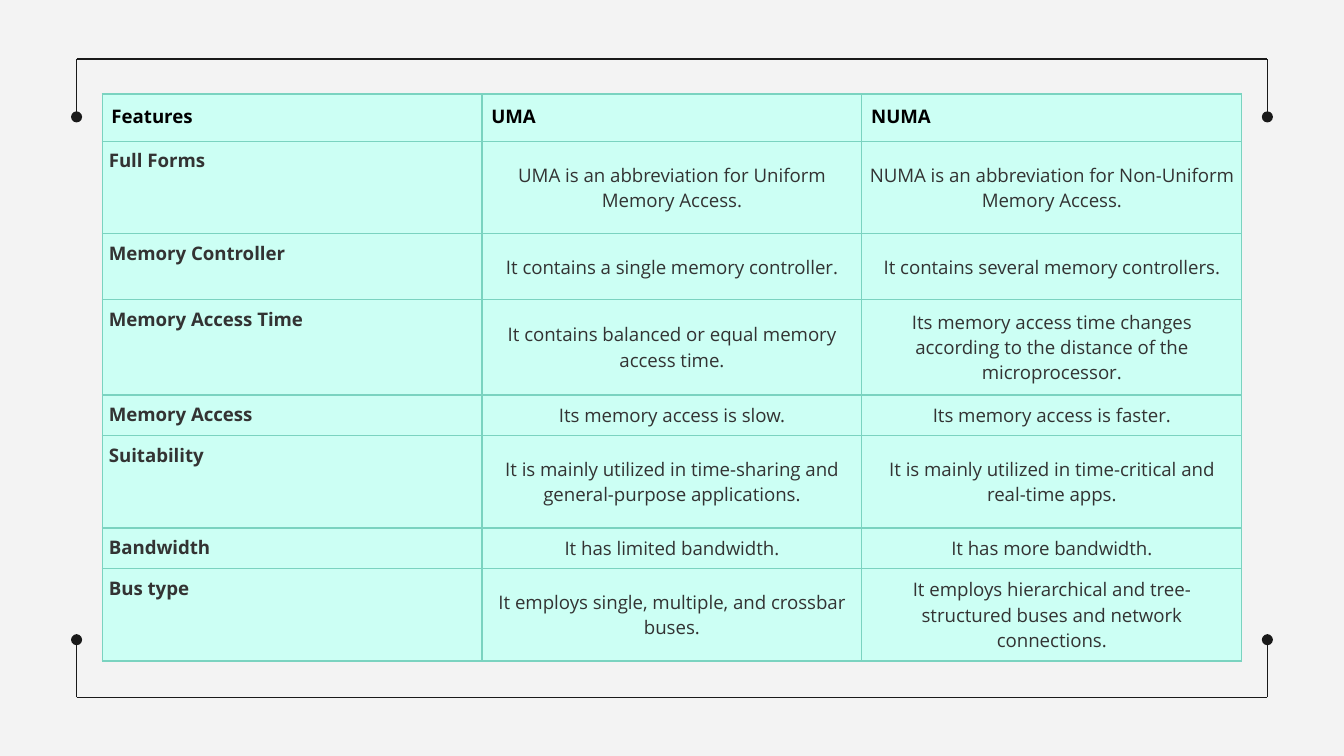
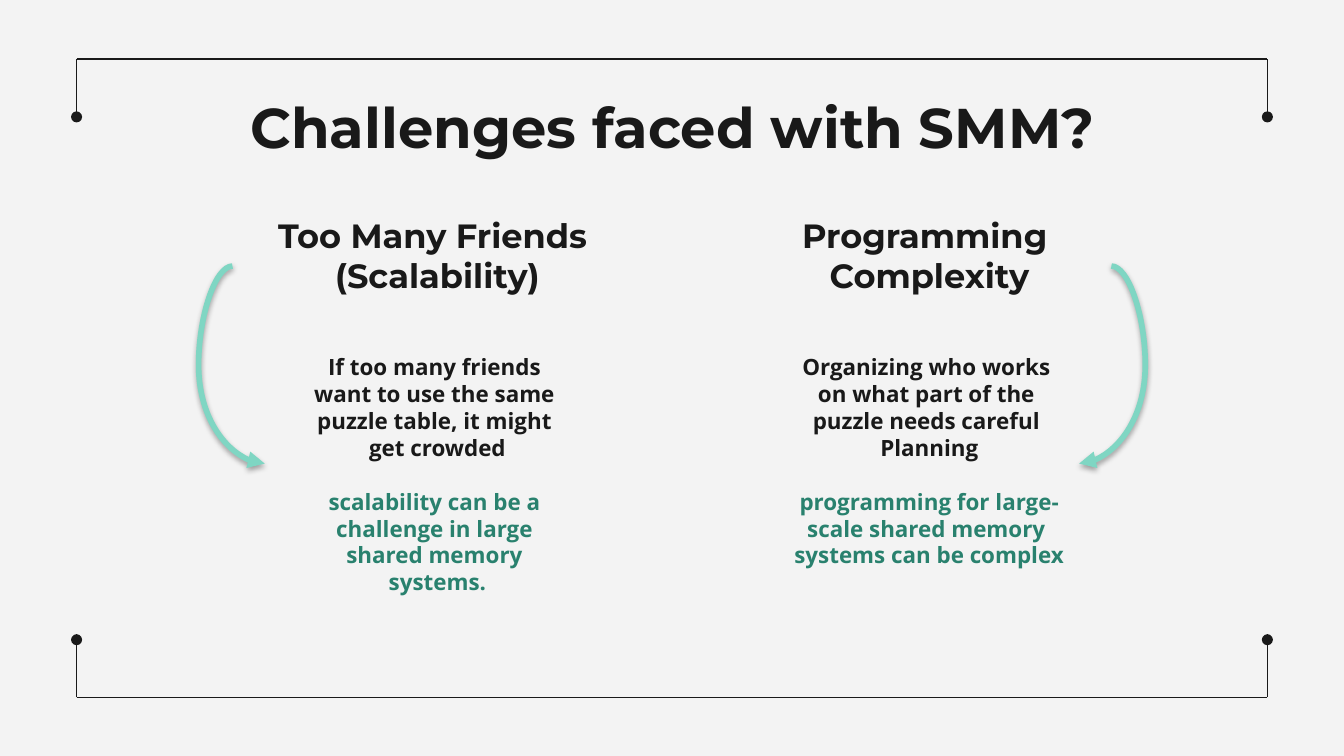
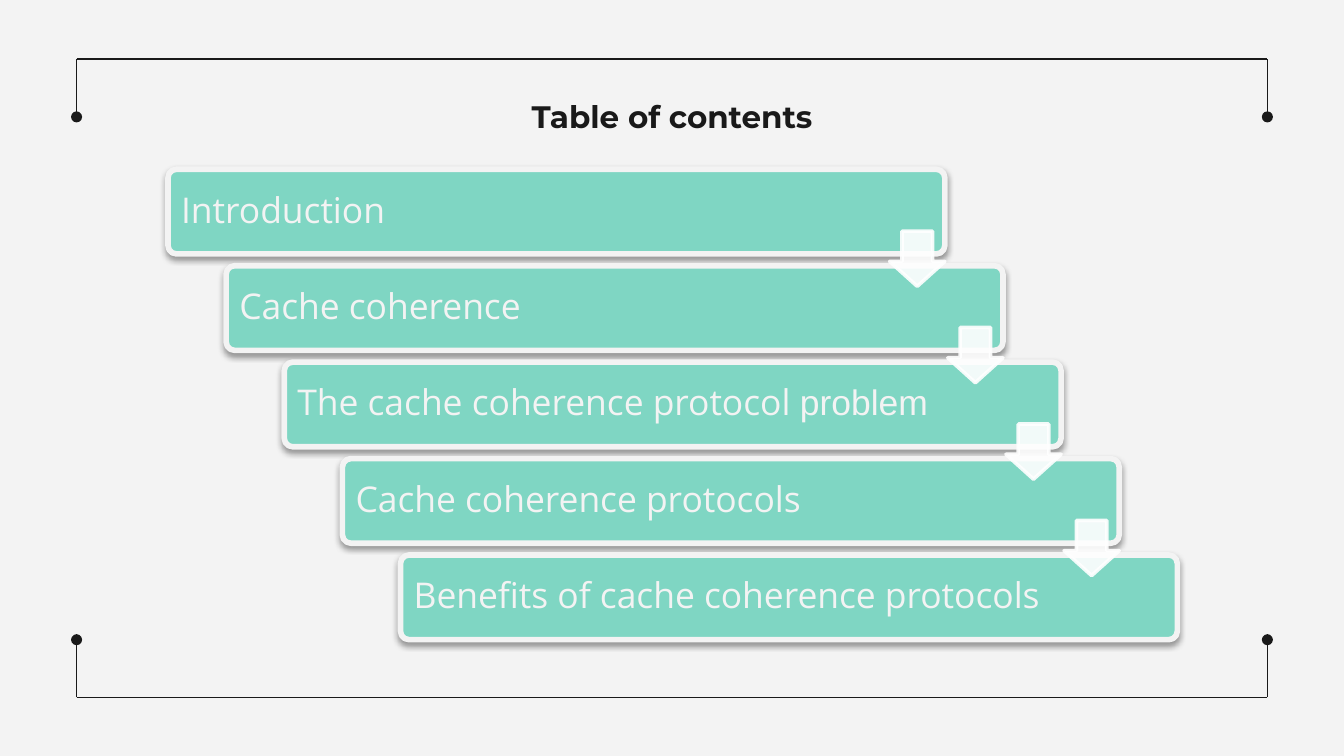
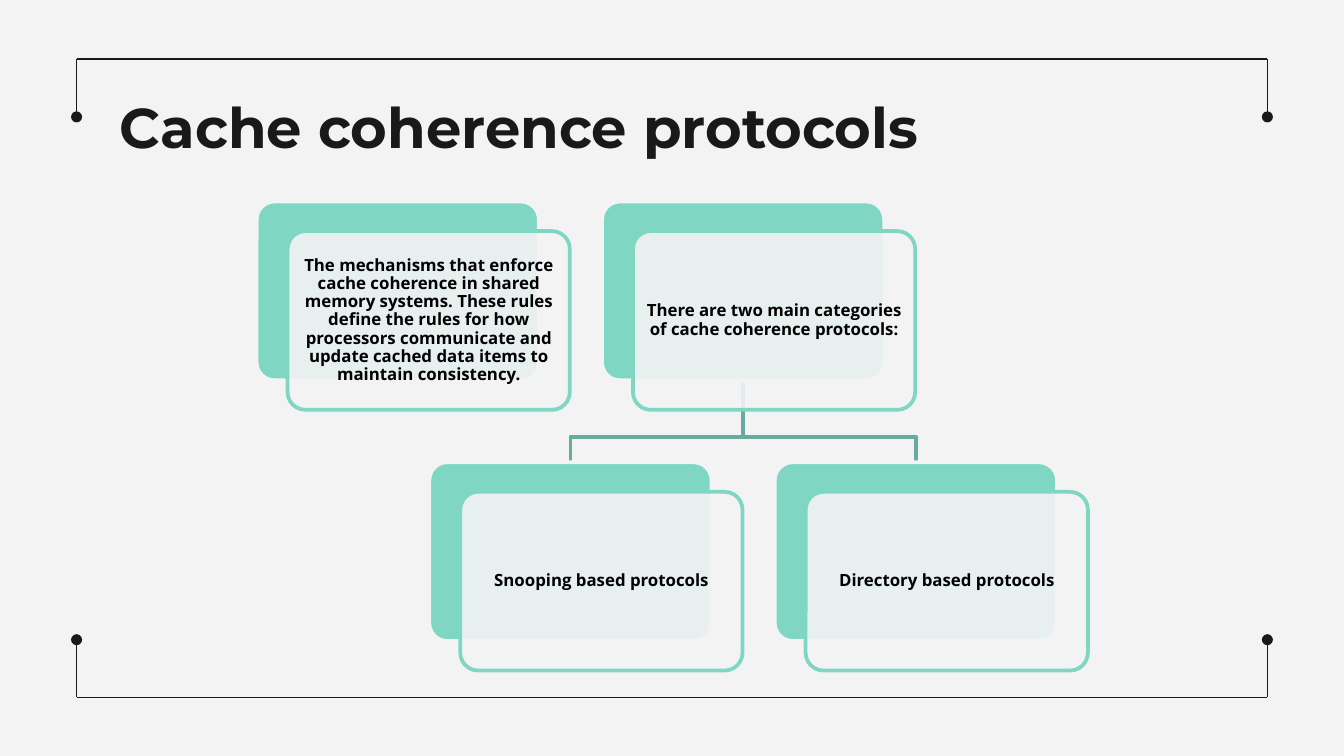
from collections import namedtuple

from lxml import etree
from pptx import Presentation
from pptx.dml.color import RGBColor
from pptx.enum.shapes import MSO_CONNECTOR, MSO_SHAPE
from pptx.enum.text import MSO_ANCHOR, MSO_AUTO_SIZE, PP_ALIGN
from pptx.oxml.ns import qn
from pptx.util import Inches, Pt

LEFT, CENTER, JUSTIFY = PP_ALIGN.LEFT, PP_ALIGN.CENTER, PP_ALIGN.JUSTIFY
TOP, MIDDLE, BOTTOM = MSO_ANCHOR.TOP, MSO_ANCHOR.MIDDLE, MSO_ANCHOR.BOTTOM
STRAIGHT, CURVE = MSO_CONNECTOR.STRAIGHT, MSO_CONNECTOR.CURVE
ROUNDED, DOWN_ARROW = MSO_SHAPE.ROUNDED_RECTANGLE, MSO_SHAPE.DOWN_ARROW
TITLE_ONLY_LAYOUT, BLANK_LAYOUT = 5, 6
SLIDE_WIDTH = 10
SLIDE_HEIGHT = SLIDE_WIDTH * 9 / 16

Box = namedtuple("Box", "left top width height")


class Theme:
    # Colours
    background = "F3F3F3"
    ink = "191919"
    mint = "7FD6C3"
    pale_mint = "CCFFF4"
    table_border = "7AD3C0"
    tree_line = "66AB9C"
    green = "29816E"
    body = "333333"
    black = "000000"
    white = "FFFFFF"
    # Fonts and sizes
    heading_font = "Montserrat"
    body_font = "Open Sans"
    accent_font = "Arial"
    title_size = 30
    small_title_size = 16.6
    heading_size = 18
    bar_size = 19
    text_size = 12
    table_size = 10
    card_size = 9


TITLE_BOX = Box(0.79, 0.59, 8.43, 0.63)

TABLE_ROWS = [
    (0.35, "Features", "UMA", "NUMA"),
    (0.69, "Full Forms", "UMA is an abbreviation for Uniform Memory Access.",
     "NUMA is an abbreviation for Non-Uniform Memory Access."),
    (0.49, "Memory Controller", "It contains a single memory controller.",
     "It contains several memory controllers."),
    (0.71, "Memory Access Time", "It contains balanced or equal memory access time.",
     "Its memory access time changes according to the distance of the microprocessor."),
    (0.3, "Memory Access", "Its memory access is slow.", "Its memory access is faster."),
    (0.69, "Suitability",
     "It is mainly utilized in time-sharing and general-purpose applications.",
     "It is mainly utilized in time-critical and real-time apps."),
    (0.3, "Bandwidth", "It has limited bandwidth.", "It has more bandwidth."),
    (0.69, "Bus type", "It employs single, multiple, and crossbar buses.",
     "It employs hierarchical and tree-structured buses and network connections."),
]

# Heading lines, explanation lines, conclusion lines
SCALABILITY = (
    ["Too Many Friends ", "(Scalability)"],
    ["If too many friends ", "want to use the same ", "puzzle table, it might ",
     "get crowded"],
    ["scalability can be a ", "challenge in large ", "shared memory ", "systems."],
)
COMPLEXITY = (
    ["Programming ", "Complexity"],
    ["Organizing who works ", "on what part of the ", "puzzle needs careful ", "Planning"],
    ["programming for large-", "scale shared memory ", "systems can be complex"],
)

# Label and, where there is one, its ending in the accent font
CONTENTS = [
    ("Introduction", ""),
    ("Cache coherence", ""),
    ("The cache coherence protocol ", "problem"),
    ("Cache coherence protocols", ""),
    ("Benefits of cache coherence protocols", ""),
]

DEFINITION = ("The mechanisms that enforce cache coherence in shared memory systems. "
              "These rules define the rules for how processors communicate and update "
              "cached data items to maintain consistency.")
CATEGORIES = "There are two main categories of cache coherence protocols:"
CATEGORY_NAMES = ["Snooping based protocols", "Directory based protocols"]


# Shared helpers
def rgb(color):
    return RGBColor.from_string(color)


def inches(*lengths):
    return [Inches(length) for length in lengths]


def set_effects(shape, shadow_alpha=None):
    """Replace the theme shadow by none, or by a soft one below the shape."""
    effects = etree.SubElement(shape.element.spPr, qn("a:effectLst"))
    if shadow_alpha:
        shadow = etree.SubElement(effects, qn("a:outerShdw"), blurRad=str(Pt(3.1)),
                                  dist=str(Pt(1.7)), dir="5400000", rotWithShape="0")
        color = etree.SubElement(shadow, qn("a:srgbClr"), val=Theme.black)
        etree.SubElement(color, qn("a:alpha"), val=str(shadow_alpha * 1000))


def set_alpha(fill, percent):
    color = fill._xPr.find(qn("a:solidFill"))[0]
    etree.SubElement(color, qn("a:alpha"), val=str(percent * 1000))


def set_line(shape, color, width):
    shape.line.color.rgb = rgb(color)
    shape.line.width = Pt(width)


def add_line(slide, kind, start, end, color, width, arrowhead=None, shadow_alpha=None):
    line = slide.shapes.add_connector(kind, *inches(*start, *end))
    set_line(line, color, width)
    if arrowhead:
        etree.SubElement(line.line._get_or_add_ln(), qn("a:tailEnd"), type=arrowhead)
    set_effects(line, shadow_alpha)
    return line


def add_filled_shape(slide, kind, box, adjustments, fill, line, line_width,
                     alpha=None, shadow_alpha=None):
    shape = slide.shapes.add_shape(kind, *inches(*box))
    for index, value in enumerate(adjustments):
        shape.adjustments[index] = value
    shape.fill.solid()
    shape.fill.fore_color.rgb = rgb(fill)
    if alpha:
        set_alpha(shape.fill, alpha)
    set_line(shape, line, line_width)
    set_effects(shape, shadow_alpha)
    return shape


def set_frame(text_frame, anchor, inset):
    text_frame.word_wrap = True
    text_frame.auto_size = MSO_AUTO_SIZE.NONE
    text_frame.vertical_anchor = anchor
    text_frame.margin_left = text_frame.margin_right = Inches(inset)
    text_frame.margin_top = text_frame.margin_bottom = Inches(inset)


def format_paragraph(paragraph, size, color, font=Theme.body_font, bold=False,
                     align=LEFT, spacing=None):
    paragraph.alignment = align
    if spacing:
        paragraph.line_spacing = spacing
    for run in paragraph.runs:
        run.font.name = font
        run.font.size = Pt(size)
        run.font.bold = bold
        run.font.color.rgb = rgb(color)


def add_title(slide, box, text, size=Theme.title_size, align=CENTER, anchor=TOP,
              spacing=None):
    title = slide.shapes.title
    title.left, title.top, title.width, title.height = inches(*box)
    title.text_frame.text = text
    set_frame(title.text_frame, anchor, 0.1)
    format_paragraph(title.text_frame.paragraphs[0], size, Theme.ink,
                     Theme.heading_font, True, align, spacing)


def add_indented_lines(slide, box, lines, anchor):
    """Add a text box with one hanging-indent paragraph per line."""
    text_frame = slide.shapes.add_textbox(*inches(*box)).text_frame
    text_frame.text = "\n".join(lines)
    set_frame(text_frame, anchor, 0.1)
    for paragraph in text_frame.paragraphs:
        properties = paragraph._p.get_or_add_pPr()
        properties.set("marL", str(Inches(0.5)))
        properties.set("indent", str(Inches(-0.33)))
    return text_frame.paragraphs


# Master: background and frame of brackets
def add_frame(master, slide, box):
    """Draw the brackets on a slide and move them to the master."""
    right, bottom = box.left + box.width, box.top + box.height
    arm = 0.43
    lines = []
    for edge, direction in ((box.top, 1), (bottom, -1)):
        lines.append(add_line(slide, STRAIGHT, (box.left, edge), (right, edge),
                              Theme.ink, 0.75))
        for side in (box.left, right):
            lines.append(add_line(slide, STRAIGHT, (side, edge),
                                  (side, edge + direction * arm), Theme.ink, 0.75, "oval"))
    for number, line in enumerate(lines, start=101):
        line.element.nvCxnSpPr.cNvPr.set("id", str(number))
        master.shapes.element.append(line.element)


# Comparison table
def add_cell_borders(cell):
    properties = cell._tc.get_or_add_tcPr()
    for side in ("lnL", "lnR", "lnT", "lnB"):
        border = etree.SubElement(properties, qn("a:" + side), w=str(Pt(0.75)))
        fill = etree.SubElement(border, qn("a:solidFill"))
        etree.SubElement(fill, qn("a:srgbClr"), val=Theme.table_border)


def add_comparison_table(slide, box):
    column_count = 3
    table = slide.shapes.add_table(len(TABLE_ROWS), column_count, *inches(*box)).table
    table.first_row = table.horz_banding = False
    for column in table.columns:
        column.width = Inches(box.width / column_count)
    for row_index, (height, *texts) in enumerate(TABLE_ROWS):
        table.rows[row_index].height = Inches(height)
        is_header = row_index == 0
        for column_index, text in enumerate(texts):
            is_feature = column_index == 0
            cell = table.cell(row_index, column_index)
            cell.text_frame.text = text
            inset = Inches(0.07 if is_header else 0.05)
            cell.margin_left = cell.margin_right = inset
            cell.margin_top = cell.margin_bottom = inset
            cell.vertical_anchor = TOP if is_header or is_feature else MIDDLE
            add_cell_borders(cell)
            cell.fill.solid()
            cell.fill.fore_color.rgb = rgb(Theme.pale_mint)
            align = LEFT if is_header else JUSTIFY if is_feature else CENTER
            format_paragraph(cell.text_frame.paragraphs[0], Theme.table_size,
                             Theme.black if is_header else Theme.body,
                             bold=is_header or is_feature, align=align)


# Challenge column with its curved arrow
def add_challenge(slide, box, challenge, arrow_on_left):
    heading, explanation, conclusion = challenge
    heading_box = Box(box.left, box.top, box.width, 0.63)
    for paragraph in add_indented_lines(slide, heading_box, heading, BOTTOM):
        format_paragraph(paragraph, Theme.heading_size, Theme.ink, Theme.heading_font,
                         True, CENTER)

    margin = 0.24
    text_box = Box(box.left + margin, box.top + 0.86, box.width - 2 * margin, 1.82)
    paragraphs = add_indented_lines(slide, text_box, explanation + conclusion, TOP)
    for index, paragraph in enumerate(paragraphs):
        color = Theme.ink if index < len(explanation) else Theme.green
        format_paragraph(paragraph, Theme.text_size, color, bold=True, align=CENTER)
    paragraphs[len(explanation)].space_before = Pt(14.4)

    edge, inward = (box.left, margin) if arrow_on_left else (box.left + box.width, -margin)
    arrow = add_line(slide, CURVE, (edge, box.top + 0.31), (edge + inward, box.top + 1.78),
                     Theme.mint, 3, "triangle", shadow_alpha=35)
    bends = arrow.element.spPr.prstGeom.get_or_add_avLst()
    etree.SubElement(bends, qn("a:gd"), name="adj1", fmla="val -105000")


# Staircase of content bars
def add_staircase(slide, box):
    bar_width, bar_height, arrow_size = 5.78, 0.63, 0.41
    steps = len(CONTENTS) - 1
    step_x = (box.width - bar_width) / steps
    step_y = (box.height - bar_height) / steps
    bars = [Box(box.left + index * step_x, box.top + index * step_y, bar_width, bar_height)
            for index in range(len(CONTENTS))]
    for bar_box, (label, ending) in zip(bars, CONTENTS):
        bar = add_filled_shape(slide, ROUNDED, bar_box, [0.1], Theme.mint,
                               Theme.background, 3, shadow_alpha=38)
        set_frame(bar.text_frame, MIDDLE, 0.08)
        bar.text_frame.text = label
        paragraph = bar.text_frame.paragraphs[0]
        if ending:
            paragraph.add_run().text = ending
        format_paragraph(paragraph, Theme.bar_size, Theme.background, spacing=0.9)
        if ending:
            paragraph.runs[-1].font.name = Theme.accent_font
    for bar_box in bars[:-1]:
        arrow_box = Box(bar_box.left + bar_width - arrow_size, bar_box.top + 0.46,
                        arrow_size, arrow_size)
        arrow = add_filled_shape(slide, DOWN_ARROW, arrow_box, [0.55, 0.45],
                                 Theme.white, Theme.white, 2, alpha=90)
        set_alpha(arrow.line.fill, 90)


# Tree of layered cards
def add_card(slide, box, text):
    """Add a mint card with a translucent text card laid over it."""
    add_filled_shape(slide, ROUNDED, box, [0.1], Theme.mint, Theme.background, 2)
    front_box = box._replace(left=box.left + 0.23, top=box.top + 0.22)
    front = add_filled_shape(slide, ROUNDED, front_box, [0.1], Theme.background,
                             Theme.mint, 2, alpha=90)
    front.text_frame.text = text
    set_frame(front.text_frame, MIDDLE, 0.04)
    format_paragraph(front.text_frame.paragraphs[0], Theme.card_size, Theme.black,
                     bold=True, align=CENTER, spacing=0.9)


def add_branch(slide, parent, child):
    start_x = parent.left + parent.width / 2
    end_x = child.left + child.width / 2
    start_y = parent.top + parent.height
    bend_y = child.top - 0.19
    builder = slide.shapes.build_freeform(*inches(start_x, start_y))
    corners = [(start_x, bend_y), (end_x, bend_y), (end_x, child.top)]
    builder.add_line_segments([inches(*corner) for corner in corners], close=False)
    branch = builder.convert_to_shape()
    branch.fill.background()
    set_line(branch, Theme.tree_line, 2)
    set_effects(branch)


def add_protocol_tree(slide, box):
    card_width, card_height, pitch = 2.1, 1.33, 2.57
    definition = Box(box.left, box.top, card_width, card_height)
    parent = definition._replace(left=box.left + pitch)
    children = [Box(box.left + pitch * (index + 0.5), box.top + 1.94,
                    card_width, card_height) for index in range(len(CATEGORY_NAMES))]
    for child in reversed(children):
        add_branch(slide, parent, child)
    add_card(slide, definition, DEFINITION)
    add_card(slide, parent, CATEGORIES)
    for child, name in zip(children, CATEGORY_NAMES):
        add_card(slide, child, name)


# Slides
def build_comparison_slide(slide):
    add_comparison_table(slide, Box(0.76, 0.7, 8.48, 4.22))


def build_challenges_slide(slide):
    add_title(slide, TITLE_BOX, "Challenges faced with SMM?")
    add_challenge(slide, Box(1.73, 1.67, 2.88, 2.68), SCALABILITY, True)
    add_challenge(slide, Box(5.39, 1.67, 2.88, 2.68), COMPLEXITY, False)


def build_contents_slide(slide):
    add_title(slide, Box(1.25, 0.64, 7.5, 0.47), "Table of contents",
              Theme.small_title_size, anchor=BOTTOM, spacing=0.9)
    add_staircase(slide, Box(1.25, 1.26, 7.51, 3.5))


def build_protocols_slide(slide):
    add_title(slide, TITLE_BOX, "Cache coherence protocols", align=LEFT)
    add_protocol_tree(slide, Box(1.91, 1.5, 6.18, 3.5))


def main():
    presentation = Presentation()
    presentation.slide_width, presentation.slide_height = inches(SLIDE_WIDTH, SLIDE_HEIGHT)
    master = presentation.slide_master
    master.background.fill.solid()
    master.background.fill.fore_color.rgb = rgb(Theme.background)

    layouts = presentation.slide_layouts
    comparison_slide = presentation.slides.add_slide(layouts[BLANK_LAYOUT])
    add_frame(master, comparison_slide, Box(0.57, 0.44, 8.86, 4.75))
    build_comparison_slide(comparison_slide)
    for build in (build_challenges_slide, build_contents_slide, build_protocols_slide):
        build(presentation.slides.add_slide(layouts[TITLE_ONLY_LAYOUT]))
    presentation.save("out.pptx")


if __name__ == "__main__":
    main()
